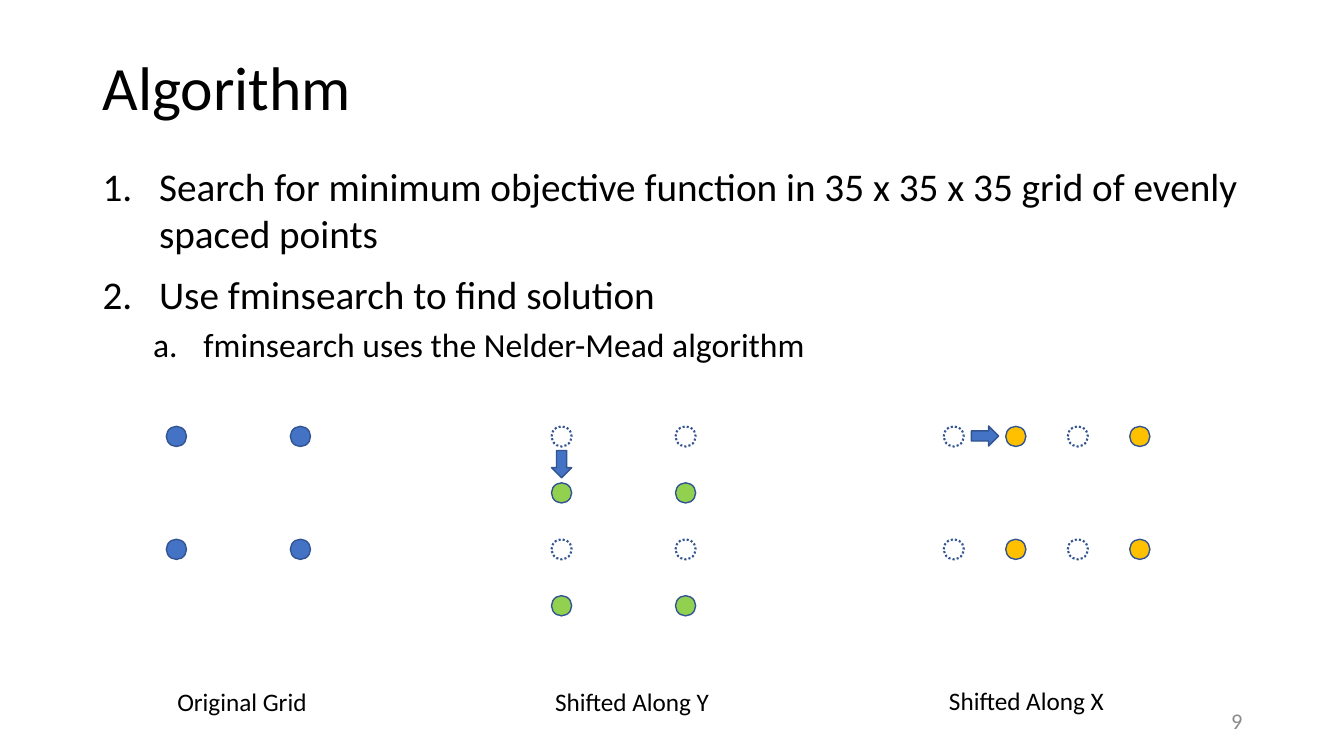
from dataclasses import dataclass

from lxml.etree import SubElement
from pptx import Presentation
from pptx.dml.color import RGBColor
from pptx.enum.dml import MSO_LINE_DASH_STYLE as Dash
from pptx.enum.shapes import MSO_SHAPE as Shape
from pptx.enum.text import MSO_ANCHOR as Anchor, PP_ALIGN as Align
from pptx.oxml.ns import qn
from pptx.util import Inches, Pt


@dataclass(frozen=True)
class Theme:
    font: str = "Calibri"
    ink: str = "000000"
    muted: str = "8C8C8C"
    blue: str = "4472C4"
    outline: str = "325491"
    green: str = "92D050"
    amber: str = "FFC000"
    title: int = 44
    step: int = 28
    substep: int = 24
    caption: int = 18
    page: int = 16


THEME = Theme()
DOT = 0.2
PITCH_X, PITCH_Y = 1.23, 1.12
GRID_TOP = 4.23


def text_frame(slide, left, top, width, height, anchor=Anchor.TOP):
    frame = slide.shapes.add_textbox(
        Inches(left), Inches(top), Inches(width), Inches(height)).text_frame
    frame.word_wrap = True
    frame.vertical_anchor = anchor
    return frame


def write(paragraph, text, *, size, color=THEME.ink, align=Align.LEFT,
          spacing=1.0, before=0):
    paragraph.alignment = align
    paragraph.line_spacing = spacing
    paragraph.space_before = Pt(before)
    run = paragraph.add_run()
    run.text = text
    run.font.name = THEME.font
    run.font.size = Pt(size)
    run.font.color.rgb = RGBColor.from_string(color)


def number(paragraph, scheme, indent, hanging):
    props = paragraph._p.get_or_add_pPr()
    props.set("marL", str(Inches(indent)))
    props.set("indent", str(-Inches(hanging)))
    SubElement(props, qn("a:buFont"), typeface="+mj-lt")
    SubElement(props, qn("a:buAutoNum"), type=scheme)


def add_steps(slide):
    frame = text_frame(slide, 0.92, 1.56, 11.5, 5.19)
    steps = [
        (0, "Search for minimum objective function in 35 x 35 x 35 grid "
            "of evenly spaced points"),
        (0, "Use fminsearch to find solution"),
        (1, "fminsearch uses the Nelder-Mead algorithm"),
    ]
    # Size, space before, numbering scheme, indent and hanging by level
    levels = [(THEME.step, 10, "arabicPeriod", 0.56, 0.56),
              (THEME.substep, 5, "alphaLcPeriod", 1, 0.5)]
    for index, (level, text) in enumerate(steps):
        size, before, scheme, indent, hanging = levels[level]
        step = frame.add_paragraph() if index else frame.paragraphs[0]
        step.level = level
        write(step, text, size=size, before=before)
        number(step, scheme, indent, hanging)


def add_mark(shapes, kind, left, top, height, fill=None):
    mark = shapes.add_shape(
        kind, Inches(left), Inches(top), Inches(DOT), Inches(height))
    mark.shadow.inherit = False
    mark.line.color.rgb = RGBColor.from_string(THEME.outline)
    if fill:
        mark.fill.solid()
        mark.fill.fore_color.rgb = RGBColor.from_string(fill)
        mark.line.width = Pt(1)
    else:
        mark.fill.background()
        mark.line.width = Pt(1.5)
        mark.line.dash_style = Dash.ROUND_DOT
    return mark


def add_grid(slide, left, top=GRID_TOP, fill=None):
    dots = slide.shapes.add_group_shape().shapes
    for row in range(2):
        for column in range(2):
            add_mark(dots, Shape.OVAL, left + column * PITCH_X,
                     top + row * PITCH_Y, DOT, fill)


def add_arrow(slide, left, top, rotation=0):
    arrow = add_mark(slide.shapes, Shape.DOWN_ARROW, left, top, 0.27, THEME.blue)
    arrow.rotation = rotation


def main():
    prs = Presentation()
    prs.slide_width, prs.slide_height = Inches(13.33), Inches(7.5)
    slide = prs.slides.add_slide(prs.slide_layouts[6])

    # Title and numbered steps
    title = text_frame(slide, 0.92, 0.4, 11.5, 1, Anchor.MIDDLE)
    write(title.paragraphs[0], "Algorithm", size=THEME.title, spacing=0.9)
    add_steps(slide)

    # Original grid, then each shifted grid over its dotted start
    original_x, shift_y_x, shift_x_x = 1.65, 5.47, 9.36
    add_grid(slide, original_x, fill=THEME.blue)
    add_grid(slide, shift_y_x)
    add_grid(slide, shift_x_x)
    add_grid(slide, shift_y_x, GRID_TOP + PITCH_Y / 2, THEME.green)
    add_grid(slide, shift_x_x + PITCH_X / 2, fill=THEME.amber)

    # Shift directions
    add_arrow(slide, shift_y_x, 4.47)
    add_arrow(slide, 9.67, 4.19, rotation=270)

    # Captions
    for left, top, label in [(1.44, 6.76, "Original Grid"),
                             (5.31, 6.76, "Shifted Along Y"),
                             (9.22, 6.75, "Shifted Along X")]:
        caption = text_frame(slide, left, top, 1.92, 0.4)
        write(caption.paragraphs[0], label, size=THEME.caption, align=Align.CENTER)

    # Page number
    page = text_frame(slide, 9.42, 6.95, 3, 0.4, Anchor.MIDDLE)
    write(page.paragraphs[0], "9", size=THEME.page, color=THEME.muted,
          align=Align.RIGHT)

    prs.save("out.pptx")


if __name__ == "__main__":
    main()
